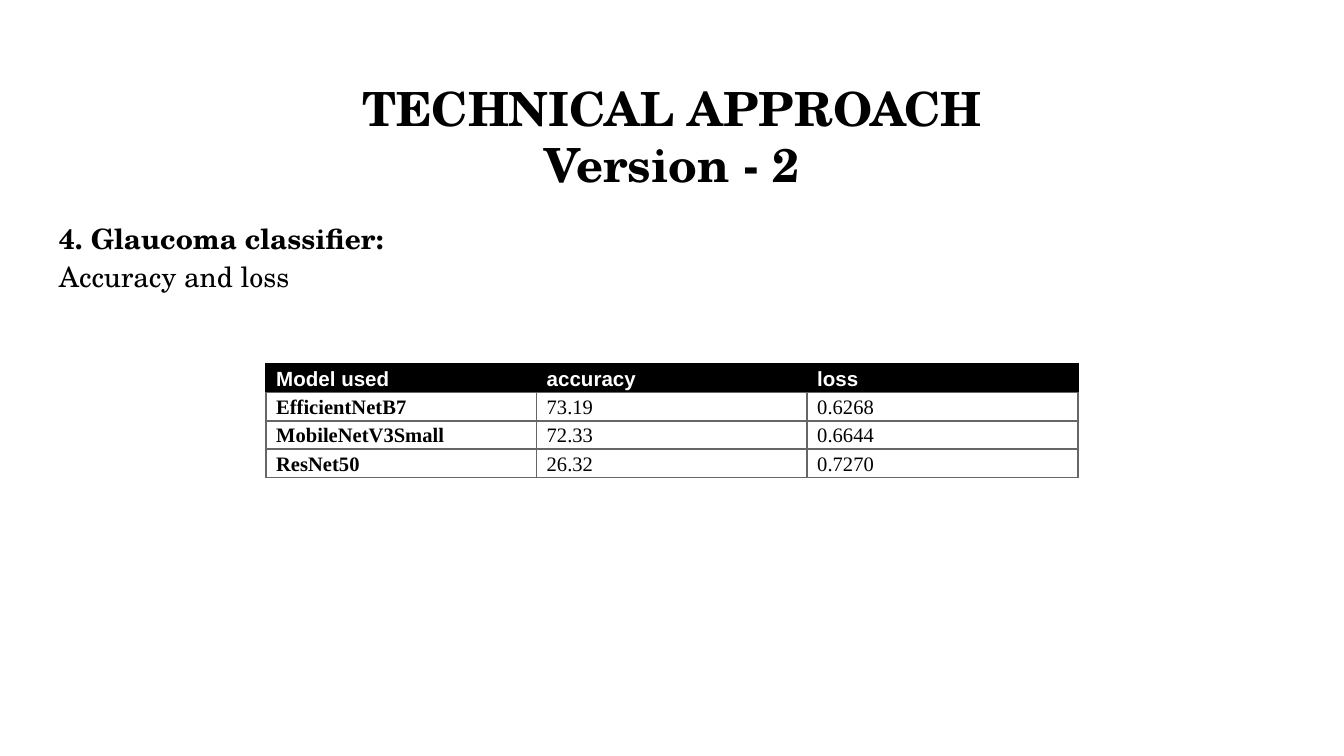
from dataclasses import dataclass

from lxml import etree
from pptx import Presentation
from pptx import util as u
from pptx.dml.color import RGBColor
from pptx.enum import text
from pptx.oxml import ns

SERIF = "TeX Gyre Schola"
BLACK, WHITE, GREY = "000000", "FFFFFF", "666666"


@dataclass
class Style:
    font: str
    size: float
    bold: bool = False
    color: str = BLACK


@dataclass
class Line:
    words: str
    style: Style


def rgb(code: str) -> RGBColor:
    return RGBColor.from_string(code)


def write(para, line: Line, space: float = 1.0) -> None:
    para.text = line.words
    para.line_spacing = space
    font, style = para.font, line.style
    font.name, font.size, font.bold = style.font, u.Pt(style.size), style.bold
    font.color.rgb = rgb(style.color)


def add_box(slide, top: float, height: float, lines: list[Line],
            inset: float = 0.1, space: float = 1.0, align=text.PP_ALIGN.LEFT) -> None:
    box = slide.shapes.add_textbox(u.Inches(0.34), u.Inches(top), u.Inches(9.32), u.Inches(height))
    frame = box.text_frame
    frame.word_wrap = True
    frame.margin_left = frame.margin_right = frame.margin_bottom = u.Inches(0.1)
    frame.margin_top = u.Inches(inset)
    for i, line in enumerate(lines):
        para = frame.add_paragraph() if i else frame.paragraphs[0]
        write(para, line, space)
        para.alignment = align


def edge(cell, color: str) -> None:
    props = cell._tc.get_or_add_tcPr()
    for side in ("L", "R", "T", "B"):
        rule = etree.SubElement(props, ns.qn(f"a:ln{side}"), w=str(u.Pt(1)))
        fill = etree.SubElement(rule, ns.qn("a:solidFill"))
        etree.SubElement(fill, ns.qn("a:srgbClr"), val=color)


def add_grid(slide, rows: list[tuple[str, ...]]) -> None:
    wide, high = u.Inches(6.04), u.Inches(0.83)
    grid = slide.shapes.add_table(len(rows), len(rows[0]), u.Inches(1.98), u.Inches(2.71),
                                  wide, high).table
    grid.horz_banding = False
    for col in grid.columns:
        col.width = wide // len(rows[0])
    for r, row in enumerate(rows):
        grid.rows[r].height = high // len(rows)
        for c, words in enumerate(row):
            cell = grid.cell(r, c)
            cell.margin_left = cell.margin_right = u.Pt(5.4)
            cell.margin_top = cell.margin_bottom = 0
            edge(cell, GREY if r else BLACK)
            if r:
                cell.fill.background()
                style = Style("Times New Roman", 11, c == 0)
            else:
                cell.fill.solid()
                cell.fill.fore_color.rgb = rgb(BLACK)
                style = Style("Arial", 11, True, WHITE)
            write(cell.text_frame.paragraphs[0], Line(words, style), 1.15)


def main() -> None:
    # Widescreen page, 16 to 9
    deck = Presentation()
    deck.slide_width = u.Inches(10)
    deck.slide_height = u.Inches(10) * 9 // 16
    slide = deck.slides.add_slide(deck.slide_layouts[6])

    # Title
    add_box(slide, 0.49, 0.63, [Line("TECHNICAL APPROACH\vVersion - 2", Style(SERIF, 25.2, True))],
            align=text.PP_ALIGN.CENTER)

    # Section heading, set one line below the top of its box
    add_box(slide, 1.26, 3.74, [
        Line("4. Glaucoma classifier:", Style(SERIF, 15, True)),
        Line("Accuracy and loss", Style(SERIF, 15)),
    ], inset=0.35, space=1.15)

    # Results by model
    add_grid(slide, [
        ("Model used", "accuracy", "loss"),
        ("EfficientNetB7", "73.19", "0.6268"),
        ("MobileNetV3Small", "72.33", "0.6644"),
        ("ResNet50", "26.32", "0.7270"),
    ])

    deck.save("out.pptx")


if __name__ == "__main__":
    main()
